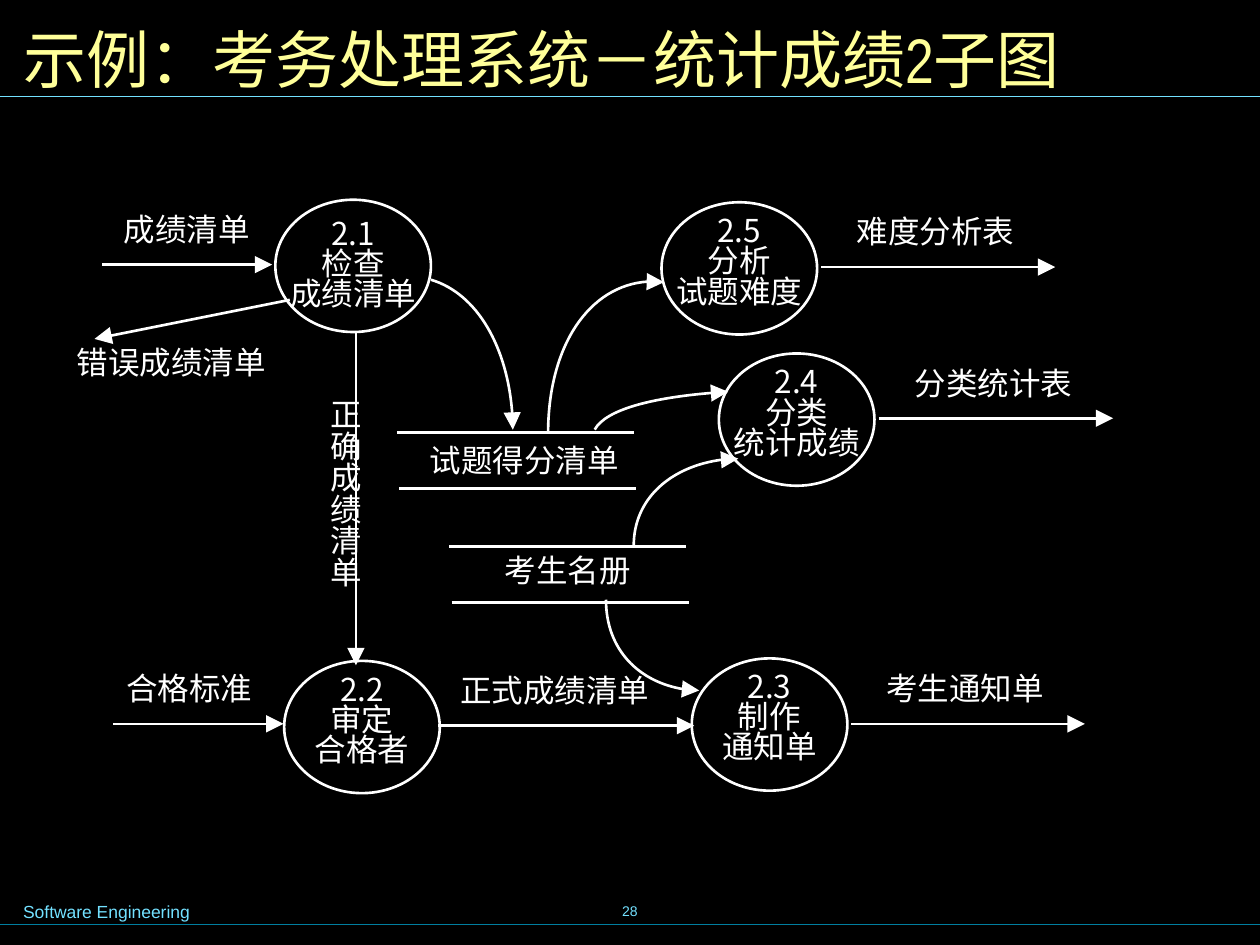
from lxml.etree import SubElement
from pptx import Presentation
from pptx.dml.color import RGBColor
from pptx.enum.shapes import MSO_CONNECTOR as Connector, MSO_SHAPE as Preset
from pptx.enum.text import MSO_ANCHOR as Anchor, PP_ALIGN as Align
from pptx.oxml.ns import qn
from pptx.util import Inches, Pt

BLACK = RGBColor(0x00, 0x00, 0x00)
WHITE = RGBColor(0xFF, 0xFF, 0xFF)
YELLOW = RGBColor(0xFF, 0xFF, 0x99)
SKY = RGBColor(0x73, 0xE1, 0xFF)
TEAL = RGBColor(0x00, 0x7E, 0x9F)
CJK = "Noto Sans CJK SC"

# Grid of 100 columns by 75 rows; both steps are equal
WIDTH, HEIGHT = Inches(10), Inches(7.5)
STEP = WIDTH / 100
OVAL_W, OVAL_H = 12.35, 10.5

# Processes: left, top, drop of the text, lines
PROCESSES = [
    (21.85, 15.85, 1.2, ["2.1", "检查", "成绩清单"]),
    (22.55, 52.45, 0.8, ["2.2", "审定", "合格者"]),
    (54.9, 52.25, 0.75, ["2.3", "制作", "通知单"]),
    (57.05, 28.05, 0.8, ["2.4", "分类", "统计成绩"]),
    (52.5, 16.05, 0.8, ["2.5", "分析", "试题难度"]),
]

# Level flows: start, row, length, label's left, label's width, label
FLOWS = [
    (8.1, 21.0, 13.5, 7.9, 13.8, "成绩清单"),
    (9.0, 57.45, 13.5, 8.1, 13.8, "合格标准"),
    (34.8, 57.6, 20.3, 35.2, 17.7, "正式成绩清单"),
    (67.55, 57.45, 18.55, 67.75, 17.7, "考生通知单"),
    (69.75, 33.2, 18.6, 70.0, 17.7, "分类统计表"),
    (65.2, 21.2, 18.55, 65.4, 17.7, "难度分析表"),
]

# Data stores: left, top, label's left, drop and width, label
STORES = [
    (31.5, 34.35, 32.65, 0.75, 17.9, "试题得分清单"),
    (35.65, 43.4, 38.1, 0.4, 13.9, "考生名册"),
]

# Curved flows: start, two control points, end
CURVES = [
    [(34.2, 22.2), (37.9, 23.3), (40.7, 28.3), (40.7, 34.1)],
    [(43.5, 34.4), (43.5, 27.4), (47.4, 21.7), (52.7, 22.4)],
    [(47.2, 34.1), (48.1, 32.5), (52.4, 31.4), (57.8, 31.1)],
    [(50.3, 43.3), (50.3, 39.5), (54.0, 36.4), (58.6, 36.4)],
    [(48.1, 47.6), (48.1, 51.6), (51.4, 54.8), (55.5, 54.8)],
]


def grid(*steps):
    return [round(step * STEP) for step in steps]


def style_line(shape, color=WHITE, points=1.5, arrow=False):
    shape.line.color.rgb = color
    shape.line.width = Pt(points)
    if arrow:
        outline = shape.element.spPr.find(qn("a:ln"))
        SubElement(outline, qn("a:tailEnd"), type="triangle", w="lg", len="lg")


def add_line(page, start, end, **style):
    line = page.shapes.add_connector(Connector.STRAIGHT, *grid(*start, *end))
    style_line(line, **style)
    SubElement(line.element.spPr, qn("a:effectLst"))


def add_text(page, place, lines, size=18, color=WHITE, font=CJK,
             align=Align.CENTER, spacing=0.8, anchor=Anchor.TOP):
    box = page.shapes.add_textbox(*grid(*place))
    frame = box.text_frame
    frame.word_wrap = True
    frame.vertical_anchor = anchor
    frame.text = "\n".join(lines)
    for para in frame.paragraphs:
        para.alignment = align
        para.line_spacing = spacing
        para.font.size = Pt(size)
        para.font.name = font
        para.font.color.rgb = color
        for span in para.runs:
            span.font.name = font
            SubElement(span.font._element, qn("a:ea"), typeface=CJK)
    return frame


def add_process(page, left, top, drop, lines):
    oval = page.shapes.add_shape(Preset.OVAL, *grid(left, top, OVAL_W, OVAL_H))
    oval.shadow.inherit = False
    oval.fill.background()
    style_line(oval)
    add_text(page, (left - 0.9, top + drop, OVAL_W + 1.8, 9.6), lines)


def add_flow(page, start, row, length, label_left, label_width, label):
    add_line(page, (start, row), (start + length, row), arrow=True)
    add_text(page, (label_left, row - 4.25, label_width, 5.7), [label])


def add_store(page, left, top, label_left, drop, label_width, label):
    for right_shift, down in ((0, 0), (0.2, 4.4)):
        x, y = left + right_shift, top + down
        add_line(page, (x, y), (x + 18.8, y))
    add_text(page, (label_left, top + drop, label_width, 5.5), [label])


def add_curve(page, controls):
    start, *others = [grid(*point) for point in controls]
    builder = page.shapes.build_freeform(*start)
    builder.add_line_segments(others, close=False)
    curve = builder.convert_to_shape()
    # Join the three straight segments into one Bezier segment
    segments = list(curve.element.iter(qn("a:lnTo")))
    outline = segments[0].getparent()
    bezier = SubElement(outline, qn("a:cubicBezTo"))
    for segment in segments:
        bezier.append(segment[0])
        outline.remove(segment)
    curve.shadow.inherit = False
    curve.fill.background()
    style_line(curve, arrow=True)


def add_frame(page):
    add_line(page, (0, 73.35), (100.4, 73.35), color=TEAL, points=0.75)
    add_line(page, (0, 7.65), (100, 7.65), color=SKY, points=0.75)
    add_text(page, (0.85, 0.85, 98.4, 7.5), ["示例：考务处理系统－统计成绩2子图"], size=36,
             color=YELLOW, font="Arial Narrow", align=Align.LEFT, spacing=1.0,
             anchor=Anchor.MIDDLE)
    add_text(page, (0.85, 71, 29.5, 2.7), ["Software Engineering"], size=10,
             color=SKY, font="Arial", align=Align.LEFT, spacing=1.0)
    add_text(page, (34.15, 69.8, 31.7, 5), ["28"], size=8, color=SKY,
             font="Arial", spacing=1.0, anchor=Anchor.MIDDLE)


def main():
    deck = Presentation()
    deck.slide_width, deck.slide_height = WIDTH, HEIGHT
    page = deck.slides.add_slide(deck.slide_layouts[6])
    page.background.fill.solid()
    page.background.fill.fore_color.rgb = BLACK

    # Title, footer and rules
    add_frame(page)

    # Data flow diagram
    for process in PROCESSES:
        add_process(page, *process)
    for flow in FLOWS:
        add_flow(page, *flow)
    for store in STORES:
        add_store(page, *store)
    for controls in CURVES:
        add_curve(page, controls)

    # Vertical flow of valid lists
    add_line(page, (28.25, 26.4), (28.25, 52.8), arrow=True)
    frame = add_text(page, (20.05, 30.65, 8.8, 17.1), ["正确成绩清单"],
                     align=Align.JUSTIFY)
    frame._txBody.bodyPr.set("vert", "eaVert")
    frame.margin_left = frame.margin_right = Inches(0.05)
    frame.margin_top = frame.margin_bottom = Inches(0.1)

    # Rejected lists
    add_line(page, (23, 23.8), (7.5, 26.9), arrow=True)
    add_text(page, (5.1, 27.3, 17.9, 5.9), ["错误成绩清单"], align=Align.JUSTIFY)

    deck.save("out.pptx")


if __name__ == "__main__":
    main()
